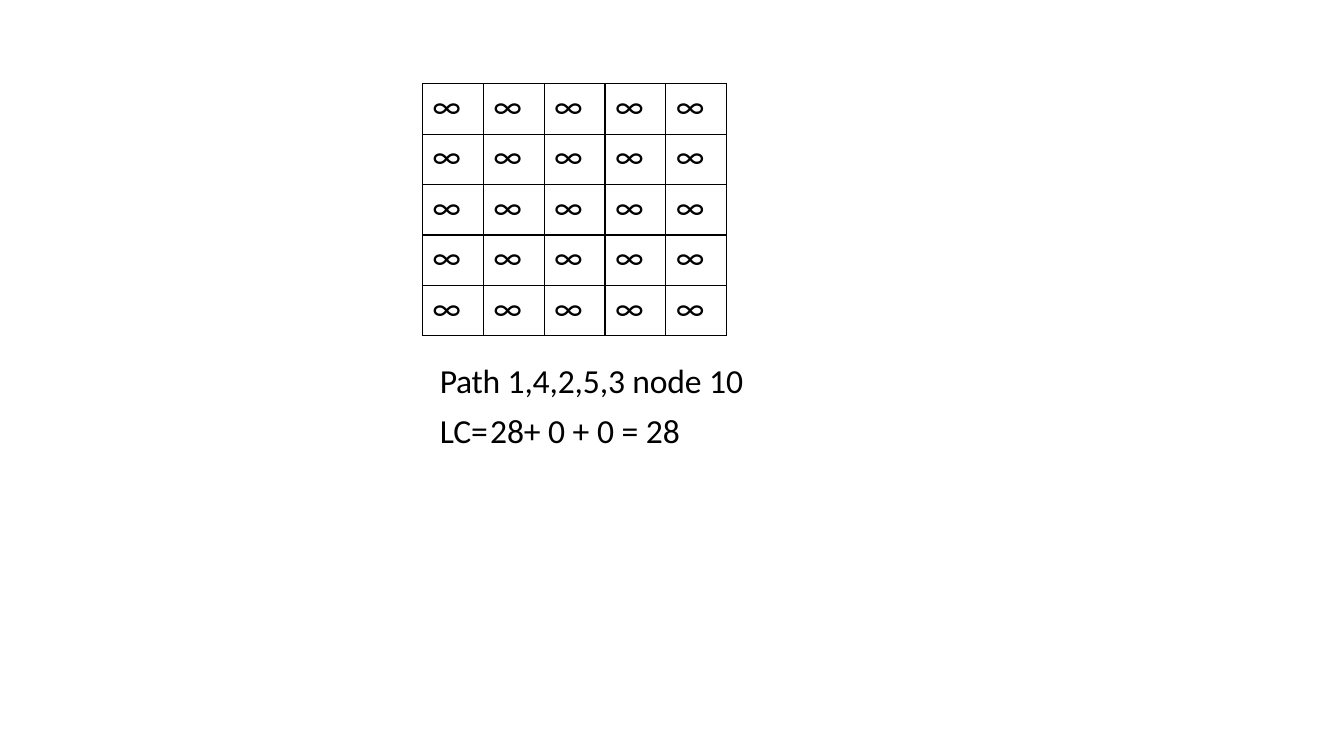
from lxml import etree
from pptx import Presentation
from pptx.dml.color import RGBColor
from pptx.enum.text import MSO_ANCHOR, MSO_AUTO_SIZE
from pptx.oxml.ns import qn
from pptx.util import Pt

TOP = MSO_ANCHOR.TOP
MIDDLE = MSO_ANCHOR.MIDDLE
FIT_SHAPE = MSO_AUTO_SIZE.SHAPE_TO_FIT_TEXT
BLACK = "000000"
MATRIX = [["∞"] * 5 for _ in range(5)]


def rgb(color):
    return RGBColor.from_string(color)


def format_paragraph(p, indent, space_before):
    p.font.name = "Calibri"
    p.font.size = Pt(24)
    p.font.color.rgb = rgb(BLACK)
    p.space_before = Pt(space_before)
    pPr = p._p.get_or_add_pPr()
    pPr.set("marL", str(Pt(indent)))
    pPr.set("indent", "0")
    return pPr


def add_borders(cell, color, width):
    tcPr = cell._tc.get_or_add_tcPr()
    for position, side in enumerate(("a:lnL", "a:lnR", "a:lnT", "a:lnB")):
        ln = etree.Element(qn(side), w=str(Pt(width)))
        fill = etree.SubElement(ln, qn("a:solidFill"))
        etree.SubElement(fill, qn("a:srgbClr"), val=color)
        tcPr.insert(position, ln)


def add_matrix(s, values, left, top, col_width, row_height):
    rows, cols = len(values), len(values[0])
    table = s.shapes.add_table(
        rows, cols, Pt(left), Pt(top), Pt(cols * col_width), Pt(rows * row_height)
    ).table
    table.first_row = False
    table.horz_banding = False
    for col in table.columns:
        col.width = Pt(col_width)
    for row, row_values in zip(table.rows, values):
        row.height = Pt(row_height)
        for cell, value in zip(row.cells, row_values):
            cell.margin_left = cell.margin_right = cell.margin_bottom = 0
            cell.margin_top = Pt(2)
            cell.fill.background()
            add_borders(cell, BLACK, 1)
            p = cell.text_frame.paragraphs[0]
            p.text = value
            format_paragraph(p, 7.2, 2)


def add_label(s, runs, left, top, width, height, anchor=TOP, tab=None):
    tf = s.shapes.add_textbox(Pt(left), Pt(top), Pt(width), Pt(height)).text_frame
    tf.word_wrap = True
    tf.auto_size = FIT_SHAPE
    tf.vertical_anchor = anchor
    tf.margin_left = tf.margin_right = tf.margin_bottom = 0
    tf.margin_top = Pt(1)
    p = tf.paragraphs[0]
    pPr = format_paragraph(p, 1, 1)
    if tab:
        tabs = etree.Element(qn("a:tabLst"))
        etree.SubElement(tabs, qn("a:tab"), pos=str(Pt(tab)), algn="l")
        pPr.find(qn("a:defRPr")).addprevious(tabs)
    for text, spacing in runs:
        r = p.add_run()
        r.text = text
        r.font.name = "Calibri"
        r.font.size = Pt(24)
        r.font.color.rgb = rgb(BLACK)
        r._r.get_or_add_rPr().set("spc", str(round(spacing * 100)))


def main():
    prs = Presentation()
    prs.slide_width, prs.slide_height = Pt(960), Pt(540)
    s = prs.slides.add_slide(prs.slide_layouts[6])
    add_matrix(s, MATRIX, 301.7, 59.8, 43.5, 36)
    path_runs = [("Path ", -0.2), ("1,4,2,5,3 node ", -0.1), ("10", 0)]
    add_label(s, path_runs, 313.2, 255.6, 221, 31, anchor=MIDDLE)
    cost_runs = [("LC=\t28+ ", -0.1), ("0 + 0 = 28", 0)]
    add_label(s, cost_runs, 313.2, 291.6, 182.5, 31, tab=46)
    prs.save("out.pptx")


if __name__ == "__main__":
    main()
